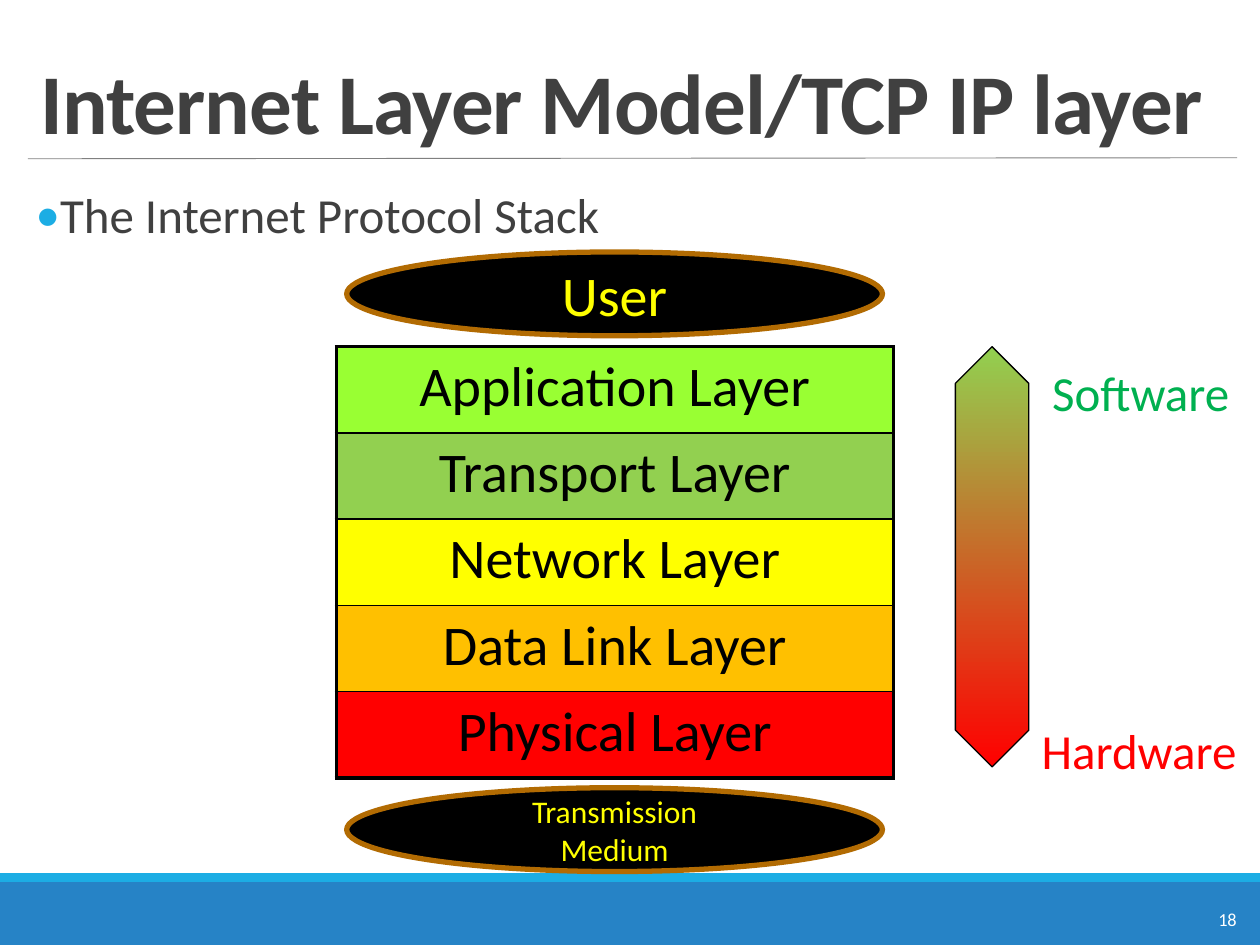
"""Build the slide on the layers of the Internet protocol stack."""
from lxml.etree import SubElement as Sub
from pptx import Presentation
from pptx.dml.color import RGBColor as RGB
from pptx.enum.shapes import MSO_CONNECTOR as LINK, MSO_SHAPE as SHAPE
from pptx.enum.text import MSO_ANCHOR as ANCHOR, MSO_AUTO_SIZE as AUTO, PP_ALIGN as ALIGN
from pptx.oxml.ns import qn
from pptx.util import Cm, Pt

BLACK = RGB(0, 0, 0)
WHITE = RGB(255, 255, 255)
GRAY = RGB(0x80, 0x80, 0x80)
DARK = RGB(0x40, 0x40, 0x40)
BLUE = RGB(0x26, 0x83, 0xC6)
CYAN = RGB(0x1C, 0xAD, 0xE4)
BROWN = RGB(0xB2, 0x6B, 0x02)
LIME = RGB(0x99, 0xFF, 0x33)
LEAF = RGB(0x92, 0xD0, 0x50)
GREEN = RGB(0, 0xB0, 0x50)
YELLOW = RGB(255, 255, 0)
AMBER = RGB(255, 0xC0, 0)
RED = RGB(255, 0, 0)


def write(frame, text, size, color, align=ALIGN.LEFT):
    frame.text = text
    para = frame.paragraphs[0]
    para.alignment = align
    for run in para.runs:
        run.font.name = "Calibri"
        run.font.size = Pt(size)
        run.font.color.rgb = color
    return para


def edge(cell, side, width):
    line = Sub(cell._tc.get_or_add_tcPr(), qn(f"a:ln{side}"), w=str(Pt(width)))
    fill = Sub(line, qn("a:solidFill"))
    Sub(fill, qn("a:srgbClr"), val=str(BLACK))


deck = Presentation()
deck.slide_width = Cm(25.4)
deck.slide_height = Cm(19.05)
slide = deck.slides.add_slide(deck.slide_layouts[1])
shapes = slide.shapes

for top, high, color in [(17.78, 1.27, BLUE), (17.6, 0.18, CYAN)]:
    bar = shapes.add_shape(SHAPE.RECTANGLE, 0, Cm(top), Cm(25.4), Cm(high))
    bar.shadow.inherit = False
    bar.fill.solid()
    bar.fill.fore_color.rgb = color
    bar.line.fill.background()

rule = shapes.add_connector(LINK.STRAIGHT, Cm(0.56), Cm(3.2), Cm(24.94), Cm(3.18))
rule.line.color.rgb = GRAY
rule.line.width = Pt(0.5)
Sub(rule._element.spPr, qn("a:effectLst"))

title = shapes.title
title.left, title.top, title.width, title.height = Cm(0.56), Cm(0.64), Cm(24.38), Cm(2.54)
head = title.text_frame
para = write(head, "Internet Layer Model/TCP IP layer", 48.6, DARK)
head.auto_size = AUTO.NONE
head.vertical_anchor = ANCHOR.BOTTOM
para.line_spacing = 0.85
font = para.runs[0].font
font.bold = True
font._element.set("spc", "-50")

body = slide.placeholders[1]
body.left, body.top, body.width, body.height = Cm(0.56), Cm(3.73), Cm(24.38), Cm(12.57)
frame = body.text_frame
para = write(frame, "The Internet Protocol Stack", 28, DARK)
frame.auto_size = AUTO.NONE
frame.margin_left = frame.margin_right = 0
para.line_spacing = 0.9
para.space_before = Pt(12)
para.space_after = Pt(2)
props = para._p.get_or_add_pPr()
props.set("marL", str(Cm(0.64)))
props.set("indent", str(Cm(-0.48)))
tint = Sub(props, qn("a:buClr"))
Sub(tint, qn("a:srgbClr"), val=str(CYAN))
Sub(props, qn("a:buFont"), typeface="Calibri")
Sub(props, qn("a:buChar"), char="•")

layers = [
    ("Application Layer", LIME),
    ("Transport Layer", LEAF),
    ("Network Layer", YELLOW),
    ("Data Link Layer", AMBER),
    ("Physical Layer", RED),
]
last = len(layers) - 1
table = shapes.add_table(len(layers), 1, Cm(6.78), Cm(6.99), Cm(11.23), Cm(8.69)).table
table.first_row = table.horz_banding = False
for i, (name, color) in enumerate(layers):
    cell = table.cell(i, 0)
    write(cell.text_frame, name, 32, BLACK, ALIGN.CENTER)
    edge(cell, "L", 2.25)
    edge(cell, "R", 2.25)
    edge(cell, "T", 2.25 if i == 0 else 1)
    edge(cell, "B", 2.25 if i == last else 1)
    cell.fill.solid()
    cell.fill.fore_color.rgb = color

for top, text, size in [(5.08, "User", 32), (15.88, "Transmission\vMedium", 18)]:
    oval = shapes.add_shape(SHAPE.OVAL, Cm(6.99), Cm(top), Cm(10.8), Cm(1.69))
    oval.shadow.inherit = False
    oval.fill.solid()
    oval.fill.fore_color.rgb = BLACK
    oval.line.color.rgb = BROWN
    oval.line.width = Pt(3)
    write(oval.text_frame, text, size, YELLOW, ALIGN.CENTER)
    oval.text_frame.word_wrap = False
    oval.text_frame.vertical_anchor = ANCHOR.MIDDLE

arrow = shapes.add_shape(SHAPE.UP_DOWN_ARROW, Cm(19.26), Cm(6.99), Cm(1.48), Cm(8.47))
arrow.shadow.inherit = False
arrow.adjustments[0] = 0.5
arrow.adjustments[1] = 1.14
arrow.fill.gradient()
arrow.fill.gradient_angle = 270
for stop, color in zip(arrow.fill.gradient_stops, [LEAF, RED]):
    stop.color.rgb = color
arrow.line.color.rgb = BLACK
arrow.line.width = Pt(0.75)

labels = [
    ("Hardware", 28, RED, 20.75, 14.4, 4.47, 1.45),
    ("Software", 28, GREEN, 20.96, 7.19, 4.14, 1.45),
    ("18", 10.5, WHITE, 24.31, 18.19, 0.94, 0.71),
]
for text, size, color, left, top, wide, high in labels:
    box = shapes.add_textbox(Cm(left), Cm(top), Cm(wide), Cm(high))
    write(box.text_frame, text, size, color)
    box.text_frame.word_wrap = False
    box.text_frame.auto_size = AUTO.SHAPE_TO_FIT_TEXT

deck.save("out.pptx")
